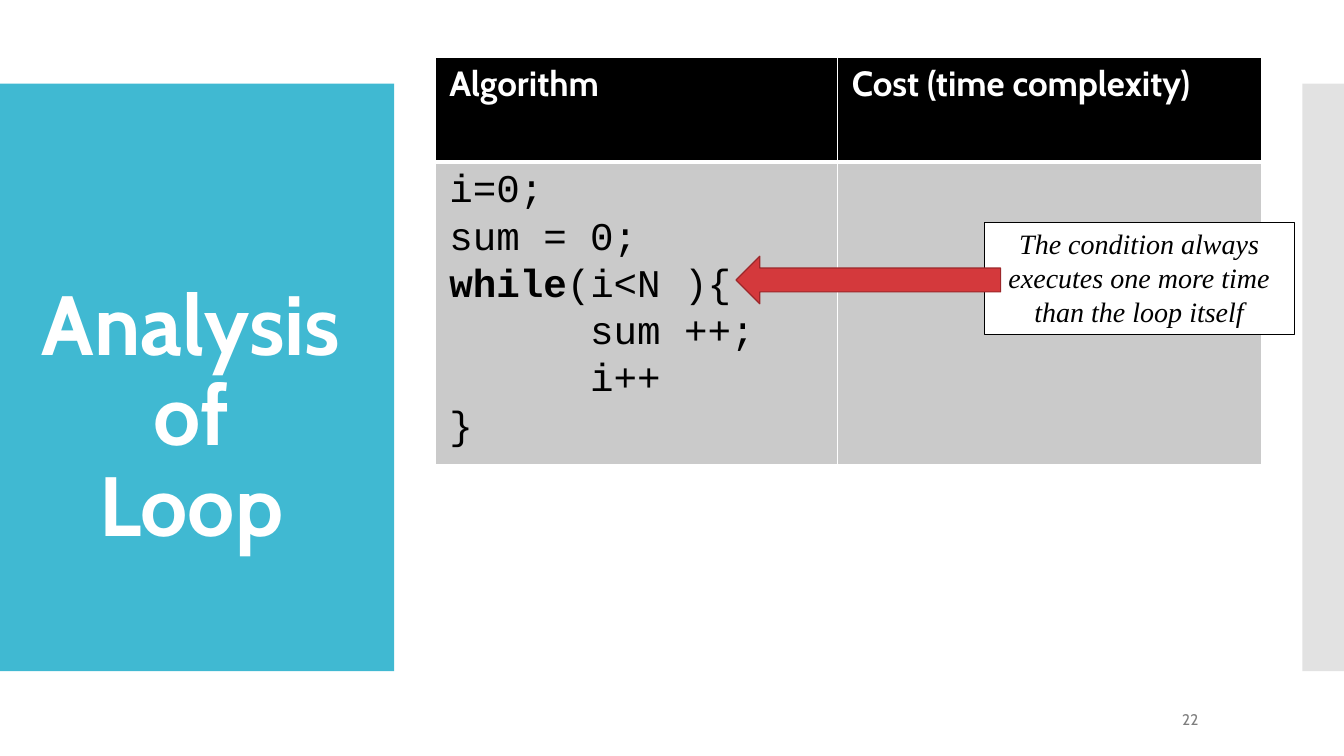
from lxml import etree
from pptx import Presentation
from pptx.dml.color import RGBColor
from pptx.enum.shapes import MSO_SHAPE
from pptx.enum.text import MSO_ANCHOR, PP_ALIGN
from pptx.oxml.ns import qn
from pptx.util import Pt

RECTANGLE, LEFT_ARROW = MSO_SHAPE.RECTANGLE, MSO_SHAPE.LEFT_ARROW
CENTER, LEFT = PP_ALIGN.CENTER, PP_ALIGN.LEFT
TOP, MIDDLE = MSO_ANCHOR.TOP, MSO_ANCHOR.MIDDLE
COLORS = {
    "panel": "40B9D2", "band": "C7C7C7", "white": "FFFFFF", "black": "000000",
    "code": "CACACA", "arrow": "D4393C", "arrow_edge": "9C272A", "number": "7E7E7E",
}


def add_block(kind, left, top, width, height, fill, edge=None):
    block = slide.shapes.add_shape(kind, Pt(left), Pt(top), Pt(width), Pt(height))
    block.shadow.inherit = False
    block.fill.solid()
    block.fill.fore_color.rgb = RGBColor.from_string(COLORS[fill])
    if edge:
        block.line.color.rgb = RGBColor.from_string(COLORS[edge])
        block.line.width = Pt(0.85)
    else:
        block.line.fill.background()
    return block


def write(frame, lines, font, size, color, align=LEFT, spacing=None, bold=None, italic=None):
    """Fill a text frame with one paragraph per line, all in one style."""
    frame.word_wrap = True
    for number, line in enumerate(lines):
        paragraph = frame.add_paragraph() if number else frame.paragraphs[0]
        paragraph.alignment = align
        if spacing:
            paragraph.line_spacing = Pt(spacing)
        keyword, found, rest = line.partition("while")
        if found:
            paragraph.add_run().text = found
            paragraph.runs[0].font.bold = True
            line = rest
        paragraph.add_run().text = line
        style = paragraph.font
        style.name, style.size = font, Pt(size)
        style.bold, style.italic = bold, italic
        style.color.rgb = RGBColor.from_string(COLORS[color])


prs = Presentation()
prs.slide_width, prs.slide_height = Pt(960), Pt(540)
slide = prs.slides.add_slide(prs.slide_layouts[6])

# Side panels
add_block(RECTANGLE, 0, 59.75, 281.5, 419.75, "panel")
band = add_block(RECTANGLE, 930.25, 59.75, 29.75, 419.75, "band")
band_color = band.fill._xPr.find(qn("a:solidFill"))[0]
etree.SubElement(band_color, qn("a:alpha"), val="50000")

# Title and page number
labels = [
    (16.5, 201.5, 240, 195, ["Analysis", "of", "Loop"], 60, "white", CENTER, 64.5, True),
    (844.5, 507.5, 20, 15, ["22"], 11, "number", LEFT, None, None),
]
for left, top, width, height, lines, size, color, align, spacing, bold in labels:
    frame = slide.shapes.add_textbox(Pt(left), Pt(top), Pt(width), Pt(height)).text_frame
    frame.margin_left = frame.margin_right = frame.margin_top = frame.margin_bottom = 0
    write(frame, lines, "Cabin", size, color, align, spacing, bold)

# Algorithm and its cost
code = ["i=0;", "sum = 0;", "while(i<N ){", "      sum ++;", "      i++", "}"]
rows = [[["Algorithm"], ["Cost (time complexity)"]], [code, []]]
table = slide.shapes.add_table(2, 2, Pt(311), Pt(41), Pt(590), Pt(291)).table
for column, width in zip(table.columns, (287.5, 302.5)):
    column.width = Pt(width)
for row, height in zip(table.rows, (74.75, 216.25)):
    row.height = Pt(height)
for r, row in enumerate(rows):
    for c, lines in enumerate(row):
        cell = table.cell(r, c)
        cell.vertical_anchor = TOP
        cell.margin_left, cell.margin_right = Pt(10), Pt(5)
        cell.margin_top, cell.margin_bottom = Pt(3.8), 0
        if r:
            write(cell.text_frame, lines, "Courier New", 28, "black", spacing=33.75)
        else:
            write(cell.text_frame, lines, "Cabin", 25, "white", bold=True)
        properties = cell._tc.get_or_add_tcPr()
        for side in ("L", "R", "T", "B"):
            header_rule = (r, side) in ((0, "B"), (1, "T"))
            border = etree.SubElement(properties, qn(f"a:ln{side}"), w=str(Pt(3 if header_rule else 1)))
            border_fill = etree.SubElement(border, qn("a:solidFill"))
            etree.SubElement(border_fill, qn("a:srgbClr"), val=COLORS["white"])
        cell.fill.solid()
        cell.fill.fore_color.rgb = RGBColor.from_string(COLORS["code" if r else "black"])

# Remark on the loop condition
remark = add_block(RECTANGLE, 703, 159, 221.5, 80, "white", "black")
remark.text_frame.vertical_anchor = MIDDLE
remark.text_frame.margin_bottom = Pt(5.5)
write(remark.text_frame, ["The condition always executes one more time than the loop itself"],
      "Times New Roman", 20, "black", CENTER, 24, italic=True)
add_block(LEFT_ARROW, 525.75, 183, 189, 34, "arrow", "arrow_edge")

prs.save("out.pptx")
